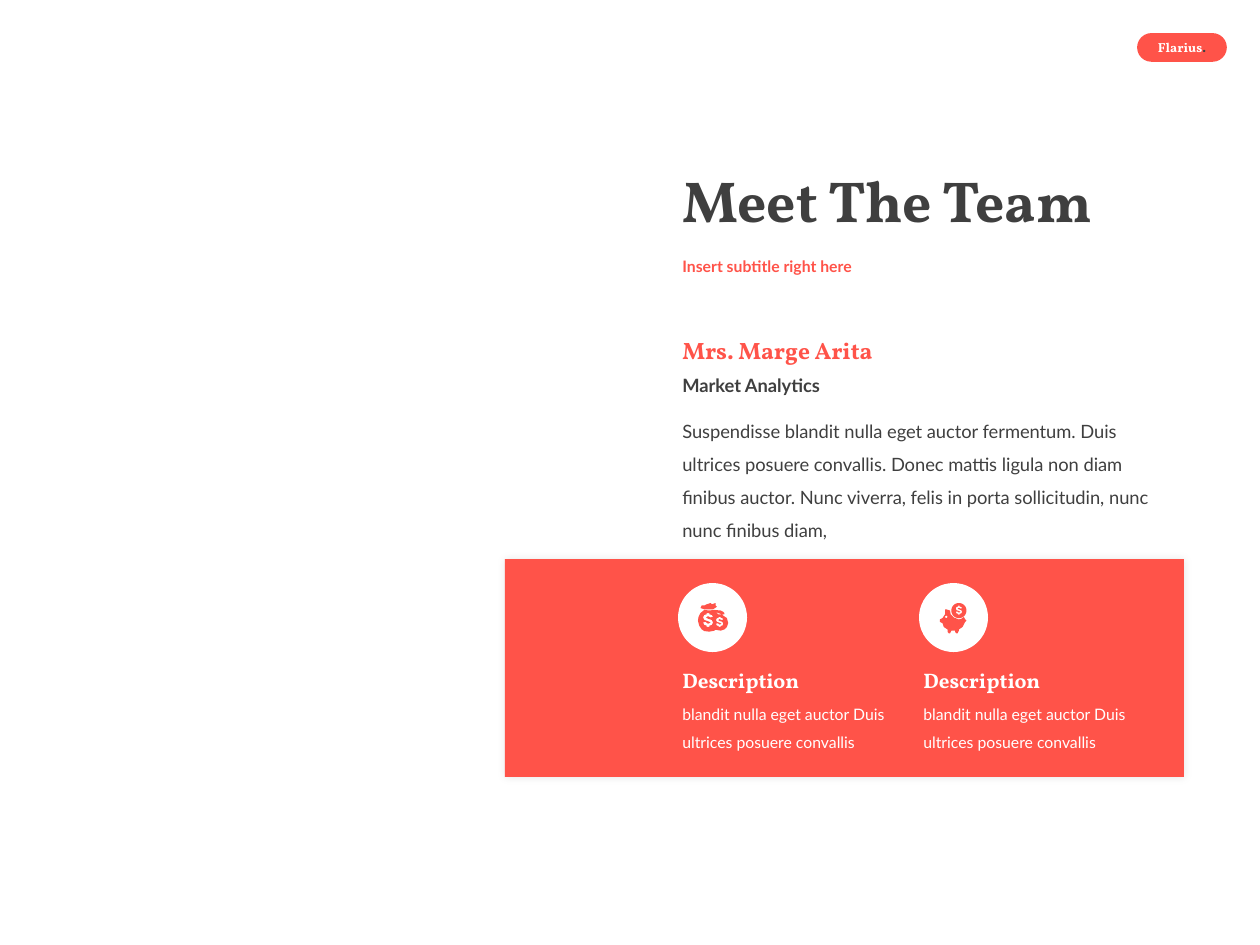
from dataclasses import dataclass
from math import cos, pi, sin

from lxml.etree import SubElement
from pptx import Presentation
from pptx.dml.color import RGBColor
from pptx.enum.shapes import MSO_SHAPE
from pptx.enum.text import MSO_ANCHOR, MSO_AUTO_SIZE, PP_ALIGN
from pptx.oxml.ns import qn
from pptx.util import Emu, Pt

PX = 914400 / 126
ICON_UNIT = 9144
ICON_DETAIL = 100


@dataclass(frozen=True)
class Theme:
    """Colours, fonts and type sizes of the slide."""
    accent: str = "FF5349"
    dark: str = "3F3F3F"
    white: str = "FFFFFF"
    serif: str = "Vollkorn"
    sans: str = "Lato"
    title: float = 33
    name: float = 13.5
    heading: float = 12
    body: float = 10.5
    small: float = 9
    badge: float = 7.5


THEME = Theme()

DOLLAR = [(-1, -5.5), (1, -5.5), (1, -4.5), (3, -4), (4, -2.5), (2, -2), (0, -3), (-1.5, -2),
          (0, -1), (3, 0), (4, 2), (3, 4), (1, 4.5), (1, 5.5), (-1, 5.5), (-1, 4.5),
          (-3, 4), (-4, 2), (-2, 1.5), (0, 3), (2, 2), (0, 1), (-3, 0), (-4, -2),
          (-3, -4), (-1, -4.5)]
BAGS = [(20, 10), (19, 9), (16, 8), (14, 7), (16, 9), (21, 9), (21, 8), (20, 7), (18, 6),
        (13, 5.5), (9, 6), (5, 5.5), (2, 8), (0.5, 11), (0, 14), (1, 18), (3, 21), (5, 22.3),
        (9, 22.8), (13, 22), (14, 21.3), (18, 22), (21, 21), (23, 19), (24, 16), (23, 12)]
KNOT = [(5, 5), (8, 5), (12, 5), (15, 3), (14, 2), (14, 0), (11, 1), (10, 0), (7, 1),
        (5, 2), (3, 2), (2, 4)]
PIG = [(20, 13), (19, 11), (17, 12.5), (15, 13), (11, 11.5), (8.5, 9), (8, 6), (5, 5), (4, 5),
       (4, 9), (2, 12), (0, 13), (0, 15), (2, 16), (3, 19), (6, 21), (6, 23), (7, 24), (8, 24),
       (9, 22), (12, 22), (12, 23), (13, 24), (14, 24), (15, 22), (15, 21), (18, 19),
       (20, 15), (21, 14)]


def px(length):
    """Turn pixels into EMU."""
    return Emu(round(length * PX))


def circle(x, y, radius, count=32):
    """Return the points of a circle."""
    return [(x + radius * cos(2 * pi * i / count), y + radius * sin(2 * pi * i / count))
            for i in range(count)]


def dollar(x, y, size):
    """Return a dollar sign centred on a point."""
    return [(x + size * a, y + size * b) for a, b in DOLLAR]


MONEY_ICON = [[BAGS, dollar(8, 13.5, 1), dollar(17.2, 15, 0.73)], [KNOT]]
PIGGY_ICON = [[PIG, circle(5, 11, 1, 8)], [circle(15, 6, 6), dollar(15, 5.7, 0.64)]]


def add_panel(slide, kind, box, color):
    """Add a plain filled shape."""
    shape = slide.shapes.add_shape(kind, *map(px, box))
    shape.shadow.inherit = False
    shape.fill.solid()
    shape.fill.fore_color.rgb = RGBColor.from_string(color)
    shape.line.fill.background()
    return shape


def add_soft_shadow(shape):
    """Give a shape a faint even shadow."""
    effects = shape._element.spPr.find(qn("a:effectLst"))
    shadow = SubElement(effects, qn("a:outerShdw"), blurRad="63500", dist="0", dir="0",
                        algn="ctr", rotWithShape="0")
    color = SubElement(shadow, qn("a:srgbClr"), val="000000")
    SubElement(color, qn("a:alpha"), val="9000")


def format_run(run, font_name, size, color, bold):
    """Set the font of one run."""
    run.font.name = font_name
    run.font.size = Pt(size)
    run.font.bold = bold
    run.font.color.rgb = RGBColor.from_string(color)


def add_text(slide, box, text, font_name, size, color, bold=True, spacing=None, middle=False):
    """Add a wrapped one-paragraph text box and return its paragraph."""
    text_frame = slide.shapes.add_textbox(*map(px, box)).text_frame
    text_frame.text = text
    text_frame.word_wrap = True
    if middle:
        text_frame.vertical_anchor = MSO_ANCHOR.MIDDLE
    else:
        text_frame.auto_size = MSO_AUTO_SIZE.SHAPE_TO_FIT_TEXT
    paragraph = text_frame.paragraphs[0]
    if spacing:
        paragraph.line_spacing = spacing
    format_run(paragraph.runs[0], font_name, size, color, bold)
    return paragraph


def add_icon(slide, left, top, parts):
    """Draw the outlines of an icon as one group."""
    group = slide.shapes.add_group_shape()
    for outlines in parts:
        contours = [[(x * ICON_DETAIL, y * ICON_DETAIL) for x, y in points]
                    for points in outlines]
        builder = group.shapes.build_freeform(*contours[0][0], scale=ICON_UNIT / ICON_DETAIL)
        for index, points in enumerate(contours):
            if index:
                builder.move_to(*points[0])
            builder.add_line_segments(points[1:], close=True)
        shape = builder.convert_to_shape(px(left), px(top))
        shape.shadow.inherit = False
        shape.fill.solid()
        shape.fill.fore_color.rgb = RGBColor.from_string(THEME.accent)
        shape.line.fill.background()


def add_badge(slide, left, top, width, height):
    """Add the rounded name badge."""
    pill = add_panel(slide, MSO_SHAPE.ROUNDED_RECTANGLE, (left, top, width, height), THEME.accent)
    pill.adjustments[0] = 0.5
    pill.line.color.rgb = RGBColor.from_string(THEME.accent)
    pill.line.width = Pt(1)
    paragraph = add_text(slide, (left + 4, top - 1, width - 8, height + 2), "Flarius",
                         THEME.serif, THEME.badge, THEME.white)
    paragraph.alignment = PP_ALIGN.CENTER
    dot = paragraph.add_run()
    dot.text = "."
    format_run(dot, THEME.serif, THEME.badge, THEME.dark, True)


def add_heading(slide, left, top, width):
    """Add the title and the subtitle."""
    add_text(slide, (left, top, width, 130), "Meet The Team", THEME.serif, THEME.title,
             THEME.dark, spacing=0.9, middle=True)
    add_text(slide, (left, top + 104, width, 48), "Insert subtitle right here", THEME.sans,
             THEME.small, THEME.accent, spacing=0.9, middle=True)


def add_profile(slide, left, top, width):
    """Add the name, role and text of the team member."""
    add_text(slide, (left, top, 229, 42), "Mrs. Marge Arita", THEME.serif, THEME.name,
             THEME.accent)
    add_text(slide, (left, top + 38, 192, 35), "Market Analytics", THEME.sans, THEME.body,
             THEME.dark)
    add_text(slide, (left, top + 73, width, 110),
             "Suspendisse blandit nulla eget auctor fermentum. Duis ultrices posuere convallis. "
             "Donec mattis ligula non diam finibus auctor. Nunc viverra, felis in porta "
             "sollicitudin, nunc nunc finibus diam,",
             THEME.sans, THEME.body, THEME.dark, bold=False, spacing=1.5)


def add_feature(slide, left, top, icon, icon_left):
    """Add a round icon with a heading and a short text."""
    add_panel(slide, MSO_SHAPE.OVAL, (left + 8, top, 69, 69), THEME.white)
    add_icon(slide, left + icon_left, top + 20, icon)
    add_text(slide, (left, top + 78, 184, 38), "Description", THEME.serif, THEME.heading,
             THEME.white)
    add_text(slide, (left, top + 106, 229, 67),
             "blandit nulla eget auctor Duis ultrices posuere convallis", THEME.sans,
             THEME.small, THEME.white, bold=False, spacing=1.5)


def add_feature_band(slide, left, top, width, height):
    """Add the coloured band with its two features."""
    band = add_panel(slide, MSO_SHAPE.RECTANGLE, (left, top, width, height), THEME.accent)
    add_soft_shadow(band)
    for index, (icon, icon_left) in enumerate([(MONEY_ICON, 28), (PIGGY_ICON, 29)]):
        add_feature(slide, left + 165 + index * 241, top + 24, icon, icon_left)


def main():
    """Build and save the slide."""
    presentation = Presentation()
    presentation.slide_width, presentation.slide_height = px(1260), px(945)
    slide = presentation.slides.add_slide(presentation.slide_layouts[6])
    add_badge(slide, 1138, 34, 88, 27)
    add_heading(slide, 670, 139, 709)
    add_feature_band(slide, 505, 559, 679, 218)
    add_profile(slide, 670, 330, 514)
    presentation.save("out.pptx")


if __name__ == "__main__":
    main()
